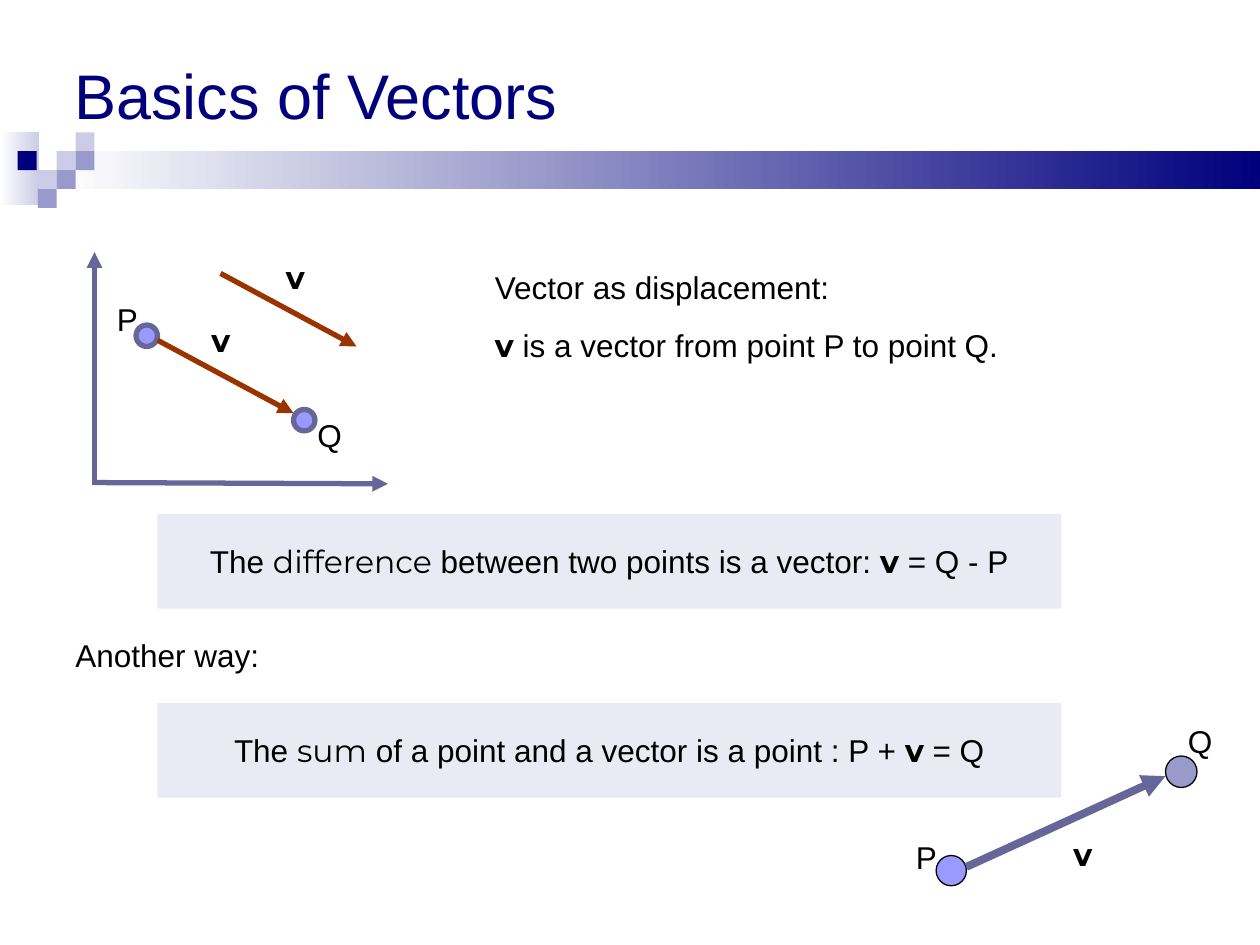
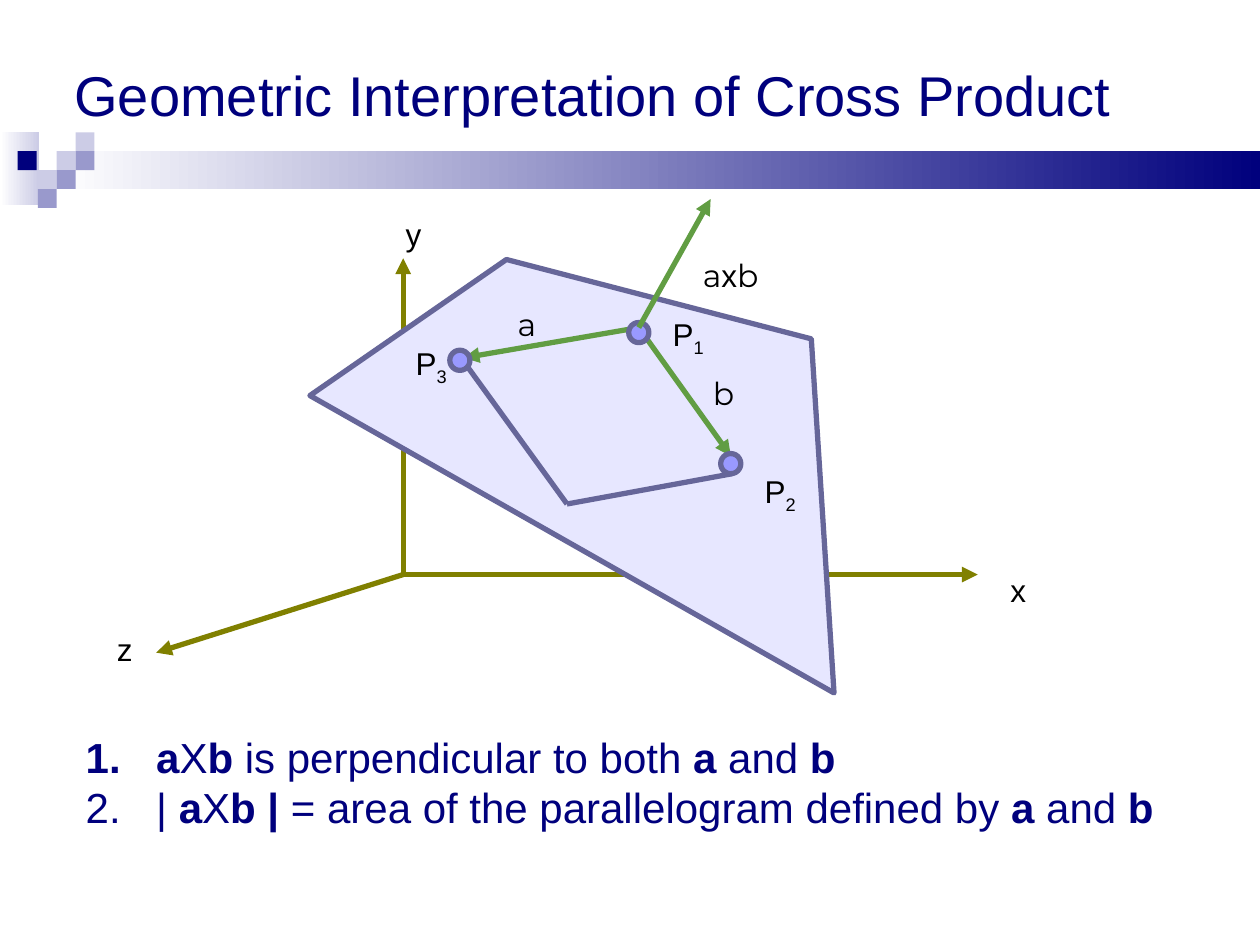
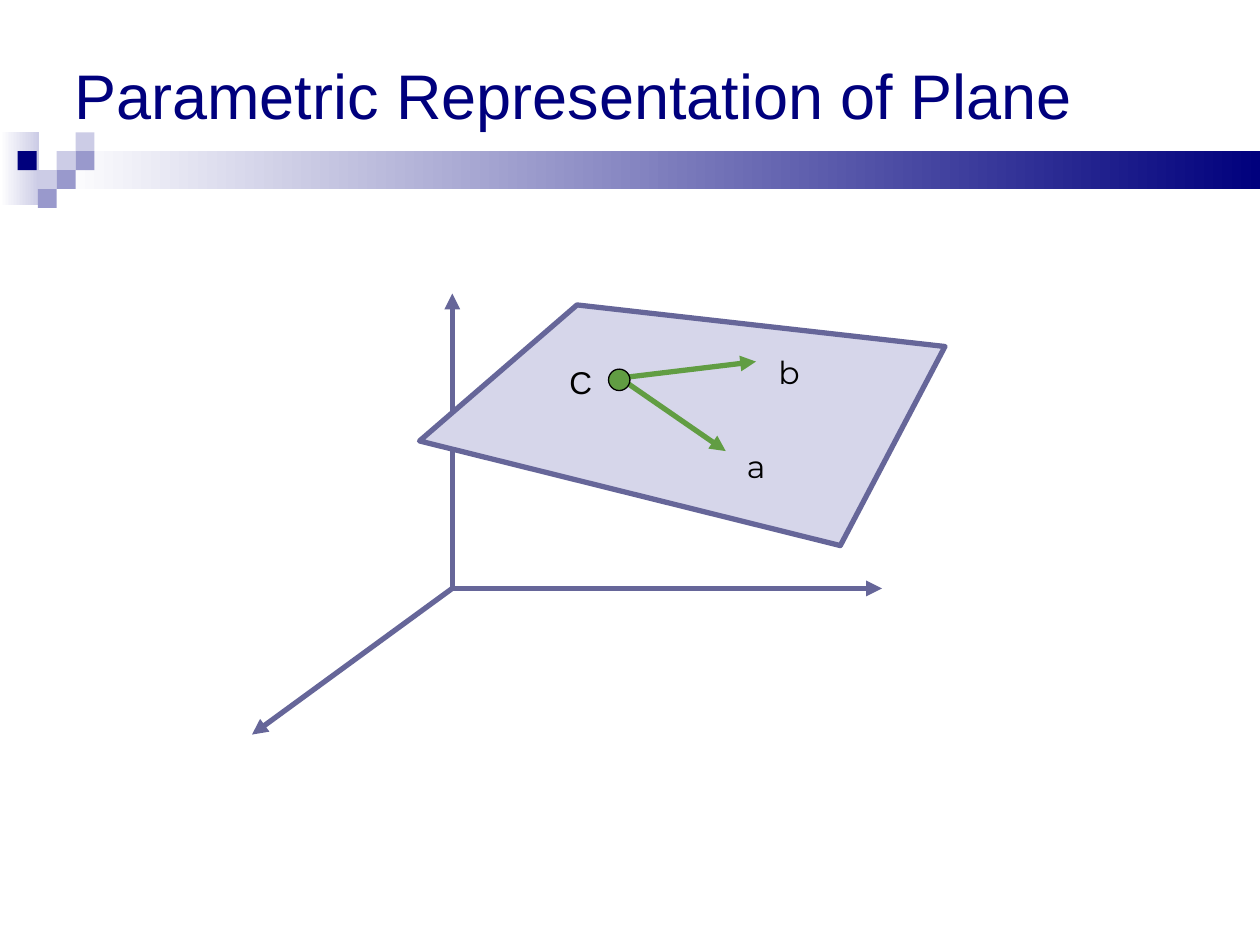
from dataclasses import dataclass

from lxml import etree
from pptx import Presentation
from pptx import util as u
from pptx.dml.color import RGBColor
from pptx.enum import shapes, text
from pptx.oxml.ns import qn

PX = 9144  # EMU in one px, at 100 px to the inch


@dataclass(frozen=True)
class Theme:
    navy: str = "00007D"
    slate: str = "666699"
    lavender: str = "9999CC"
    pale: str = "CCCCE6"
    point: str = "9999FF"
    cross_plane: str = "E7E7FF"
    parametric_plane: str = "D6D6EA"
    rust: str = "993300"
    olive: str = "808000"
    green: str = "619D43"
    black: str = "000000"
    white: str = "FFFFFF"
    font: str = "Arial"
    math_font: str = "Montserrat"
    title_size: int = 36
    long_title_size: int = 32
    list_size: int = 24
    label_size: int = 18
    label_gap: float = 11.2
    thin: float = 0.75
    thick: float = 3
    heavy: float = 4.5


THEME = Theme()
BAND_TILE = 15
BAND_TILES = [
    (45, 120, THEME.pale), (60, 105, THEME.pale), (60, 120, THEME.lavender),
    (30, 135, THEME.pale), (14, 120, THEME.navy), (45, 135, THEME.lavender),
    (30, 150, THEME.lavender),
]


def px(*lengths):
    return [u.Emu(round(length * PX)) for length in lengths]


def rgb(value):
    return RGBColor.from_string(value)


def bold(words):
    return words, {"bold": True}


def math(words, **look):
    return words, {"font": THEME.math_font, **look}


def sub(words):
    return words, {"baseline": -25}


VECTOR = math("v", bold=True)


def add_span(para, words, size=THEME.label_size, font=THEME.font,
             color=THEME.black, bold=False, baseline=0):
    span = para.add_run()
    span.text = words
    span.font.size = u.Pt(size)
    span.font.name = font
    span.font.bold = bold
    span.font.color.rgb = rgb(color)
    if baseline:
        span._r.get_or_add_rPr().set("baseline", str(baseline * 1000))


def write(para, spans, **look):
    """Fill a paragraph with plain strings or (words, format) pairs."""
    for span in spans:
        words, own = (span, {}) if isinstance(span, str) else span
        add_span(para, words, **{**look, **own})


def place(shape, left, top, width, height):
    shape.left, shape.top, shape.width, shape.height = px(left, top, width, height)


def outline(shape, color, width):
    shape.line.color.rgb = rgb(color)
    shape.line.width = u.Pt(width)


def add_title(page, words, size=THEME.title_size, width=900):
    title = page.shapes.title
    place(title, 49, 0, width, 150)
    frame = title.text_frame
    frame.auto_size = text.MSO_AUTO_SIZE.NONE
    frame.vertical_anchor = text.MSO_ANCHOR.MIDDLE
    para = frame.paragraphs[0]
    para.alignment = text.PP_ALIGN.LEFT
    write(para, [words], size=size, color=THEME.navy)


def add_rectangle(page, left, top, width, height, color, end_color=None):
    """Draw a borderless rectangle; end_color makes a left-to-right gradient."""
    box = page.shapes.add_shape(shapes.MSO_SHAPE.RECTANGLE,
                                *px(left, top, width, height))
    box.shadow.inherit = False
    box.line.fill.background()
    if end_color:
        box.fill.gradient()
        box.fill.gradient_angle = 0
        for stop, stop_color in zip(box.fill.gradient_stops, (color, end_color)):
            stop.color.rgb = rgb(stop_color)
    else:
        box.fill.solid()
        box.fill.fore_color.rgb = rgb(color)
    return box


def add_band_to_master(deck, page):
    """Draw the title band on a page, then move it to the slide master."""
    band = [
        add_rectangle(page, 0, 105, 31, 58, THEME.white, THEME.pale),
        add_rectangle(page, 45, 120, 955, 30, THEME.white, THEME.navy),
    ]
    band += [add_rectangle(page, left, top, BAND_TILE, BAND_TILE, color)
             for left, top, color in BAND_TILES]
    for number, part in enumerate(band, start=100):
        part.element.nvSpPr.cNvPr.set("id", str(number))
        deck.slide_master.shapes.element.append(part.element)


def add_banner(page, top, *spans):
    box = add_rectangle(page, 125, top, 717, 75, THEME.pale)
    color = box.element.spPr.find(qn("a:solidFill")).find(qn("a:srgbClr"))
    etree.SubElement(color, qn("a:alpha")).set("val", "41000")
    frame = box.text_frame
    frame.word_wrap = False
    frame.vertical_anchor = text.MSO_ANCHOR.MIDDLE
    frame.paragraphs[0].alignment = text.PP_ALIGN.CENTER
    write(frame.paragraphs[0], spans)


def add_label(page, left, top, width, *lines):
    """Add a text box with one paragraph for each list of spans."""
    box = page.shapes.add_textbox(*px(left, top, width, 40))
    frame = box.text_frame
    frame.word_wrap = True
    frame.auto_size = text.MSO_AUTO_SIZE.SHAPE_TO_FIT_TEXT
    for index, spans in enumerate(lines):
        para = frame.add_paragraph() if index else frame.paragraphs[0]
        para.space_before = u.Pt(THEME.label_gap)
        write(para, spans)


def add_line(page, start, end, color=THEME.slate, width=THEME.thick, arrow=True):
    line = page.shapes.add_connector(shapes.MSO_CONNECTOR.STRAIGHT,
                                     *px(*start, *end))
    outline(line, color, width)
    properties = line.element.spPr
    if arrow:
        tail = etree.SubElement(properties.find(qn("a:ln")), qn("a:tailEnd"))
        tail.set("type", "triangle")
    etree.SubElement(properties, qn("a:effectLst"))


def add_dot(page, left, top, size, fill=THEME.point, line=THEME.slate,
            width=THEME.thick):
    dot = page.shapes.add_shape(shapes.MSO_SHAPE.OVAL, *px(left, top, size, size))
    dot.shadow.inherit = False
    dot.fill.solid()
    dot.fill.fore_color.rgb = rgb(fill)
    outline(dot, line, width)


def add_plane(page, corners, fill):
    builder = page.shapes.build_freeform(*corners[0], scale=PX)
    builder.add_line_segments(corners[1:], close=True)
    plane = builder.convert_to_shape()
    plane.shadow.inherit = False
    plane.fill.solid()
    plane.fill.fore_color.rgb = rgb(fill)
    outline(plane, THEME.slate, THEME.thick)


def add_numbered_list(page, *items):
    body = page.placeholders[1]
    place(body, 58, 558, 908, 125)
    frame = body.text_frame
    frame.auto_size = text.MSO_AUTO_SIZE.NONE
    frame.vertical_anchor = text.MSO_ANCHOR.MIDDLE
    for index, spans in enumerate(items):
        para = frame.add_paragraph() if index else frame.paragraphs[0]
        para.space_before = u.Pt(0)
        write(para, spans, size=THEME.list_size, color=THEME.navy)
        properties = para._p.get_or_add_pPr()
        indent = px(56)[0]
        properties.set("marL", str(indent))
        properties.set("indent", str(-indent))
        color = etree.SubElement(properties, qn("a:buClr"))
        etree.SubElement(color, qn("a:srgbClr")).set("val", THEME.navy)
        etree.SubElement(properties, qn("a:buFont")).set("typeface", THEME.font)
        etree.SubElement(properties, qn("a:buAutoNum")).set("type", "arabicPeriod")


def build_vector_basics(page):
    add_title(page, "Basics of Vectors")
    add_line(page, (75, 385), (75, 200))
    add_line(page, (75, 383), (308, 384))
    add_dot(page, 108, 258, 17)
    add_dot(page, 233, 325, 17)
    add_line(page, (125, 270), (233, 328), THEME.rust)
    add_line(page, (175, 217), (283, 275), THEME.rust)
    add_label(page, 158, 250, 25, [VECTOR])
    add_label(page, 217, 200, 25, [VECTOR])
    add_label(page, 242, 325, 42, ["Q"])
    add_label(page, 83, 233, 25, ["P"])
    add_label(page, 383, 208, 475, ["Vector as displacement:"],
              [math("v ", bold=True), "is a vector from point P to point Q."])
    add_banner(page, 408, "The ", math("difference"),
               " between two points is a vector: ", VECTOR, " = Q - P")
    add_label(page, 50, 500, 183, ["Another way:"])
    add_banner(page, 558, "The ", math("sum"),
               " of a point and a vector is a point : P + ", VECTOR, " = Q")
    add_dot(page, 743, 679, 24, line=THEME.black, width=THEME.thin)
    add_line(page, (767, 688), (925, 616), width=THEME.heavy)
    add_dot(page, 925, 600, 25, THEME.lavender, THEME.black, THEME.thin)
    add_label(page, 842, 658, 33, [VECTOR])
    add_label(page, 933, 568, 42, ["Q"])
    add_label(page, 717, 660, 25, ["P"])


def build_cross_product(page):
    add_title(page, "Geometric Interpretation of Cross Product",
              THEME.long_title_size, 918)
    origin, p1 = (320, 456), (507, 260)
    for axis_end in [(776, 456), (320, 205), (124, 518)]:
        add_line(page, origin, axis_end, THEME.olive)
    add_plane(page, [(402, 206), (246, 314), (662, 550), (644, 269)],
              THEME.cross_plane)
    add_line(page, p1, (368, 284), THEME.green)
    add_line(page, p1, (580, 362), THEME.green)
    for left, top in [(572, 360), (357, 278), (499, 256)]:
        add_dot(page, left, top, 16)
    add_line(page, p1, (564, 158), THEME.green)
    add_label(page, 548, 198, 90, [math("a"), "x", math("b")])
    for left, top, name in [(401, 237, math("a")), (556, 292, math("b")),
                            (792, 448, "x"), (312, 166, "y"), (83, 495, "z")]:
        add_label(page, left, top, 41, [name])
    for left, top, number in [(597, 370, "2"), (524, 245, "1"), (320, 268, "3")]:
        add_label(page, left, top, 57, ["P", sub(number)])
    add_numbered_list(
        page,
        [bold("a"), "X", bold("b"), " is perpendicular to both ",
         bold("a"), " and ", bold("b")],
        ["|", bold(" a"), "X", bold("b | "),
         "= area of the parallelogram defined by ",
         bold("a "), "and", bold(" b")],
    )
    add_line(page, (371, 291), (450, 400), arrow=False)
    add_line(page, (450, 400), (581, 376), arrow=False)


def build_parametric_plane(page):
    add_title(page, "Parametric Representation of Plane")
    for axis_end in [(359, 233), (200, 583), (700, 467)]:
        add_line(page, (359, 467), axis_end)
    add_plane(page, [(333, 350), (458, 242), (750, 275), (667, 433)],
              THEME.parametric_plane)
    for vector_end in [(600, 287), (576, 358)]:
        add_line(page, (492, 300), vector_end, THEME.green)
    add_dot(page, 483, 293, 17, THEME.green, THEME.black, THEME.thin)
    for left, top, name in [(442, 283, "C"), (583, 350, math("a")),
                            (608, 275, math("b"))]:
        add_label(page, left, top, 33, [name])


def main():
    deck = Presentation()
    deck.slide_width, deck.slide_height = px(1000, 750)
    title_and_list, title_only = deck.slide_layouts[1], deck.slide_layouts[5]
    basics = deck.slides.add_slide(title_only)
    add_band_to_master(deck, basics)
    build_vector_basics(basics)
    build_cross_product(deck.slides.add_slide(title_and_list))
    build_parametric_plane(deck.slides.add_slide(title_only))
    deck.save("out.pptx")


if __name__ == "__main__":
    main()
